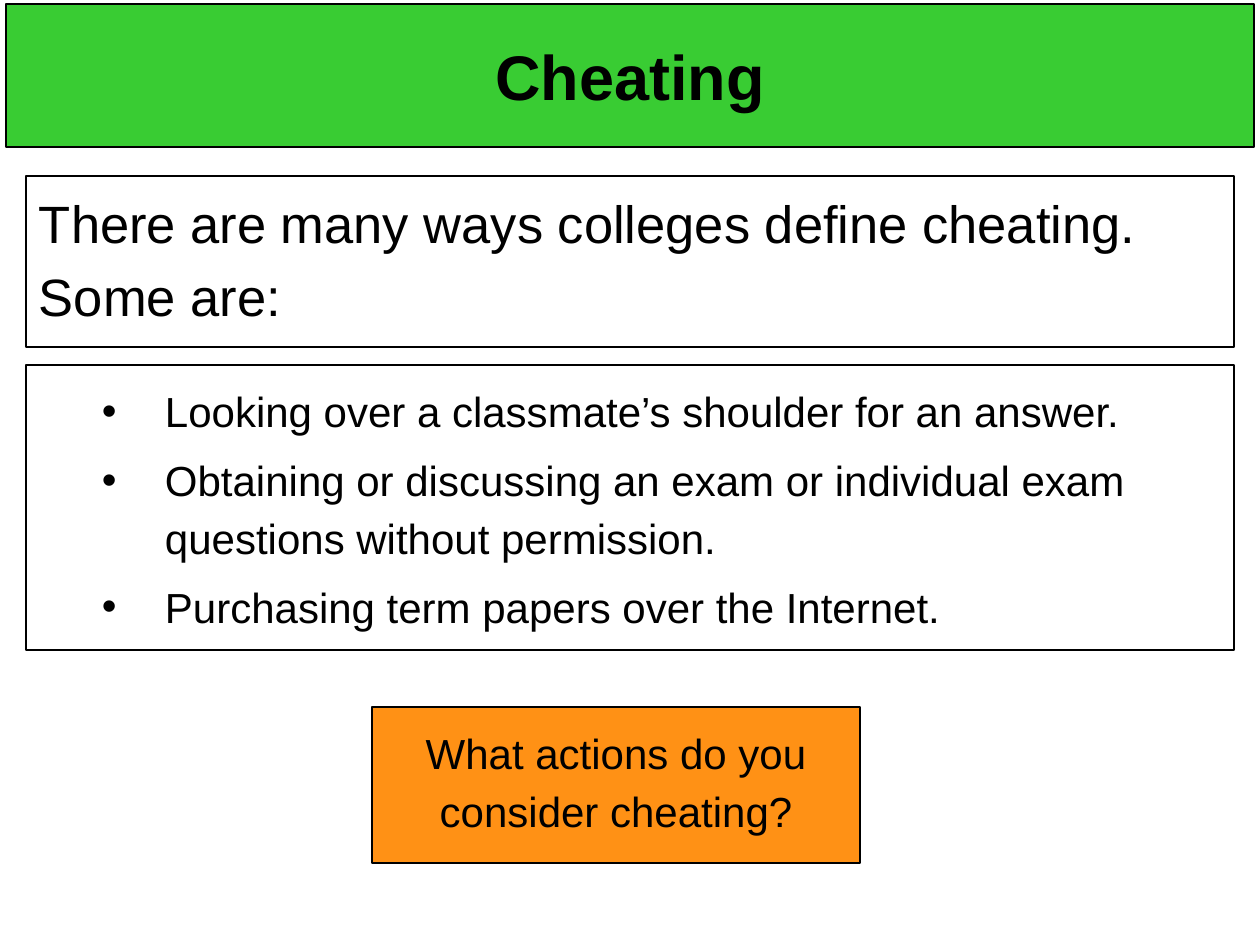
from dataclasses import dataclass

from lxml import etree
from pptx import Presentation
from pptx.dml.color import RGBColor
from pptx.enum import shapes, text
from pptx.oxml import ns
from pptx.util import Emu, Pt

PX = 914400 // 126


@dataclass(frozen=True)
class Theme:
    font: str = "Arial"
    ink: str = "000000"
    banner: str = "39CC33"
    prompt: str = "FF9115"
    title_size: int = 36
    intro_size: int = 30
    body_size: int = 24
    line_width: float = 1.5
    leading: float = 1.15
    gap: float = 6.2


THEME = Theme()


def px(n):
    return Emu(n * PX)


def style_box(sp, box, fill=None):
    sp.left, sp.top, sp.width, sp.height = map(px, box)
    if fill:
        sp.fill.solid()
        sp.fill.fore_color.rgb = RGBColor.from_string(fill)
    else:
        sp.fill.background()
    sp.line.color.rgb = RGBColor.from_string(THEME.ink)
    sp.line.width = Pt(THEME.line_width)


def add_box(slide, box, fill=None):
    sp = slide.shapes.add_shape(shapes.MSO_SHAPE.RECTANGLE, *map(px, box))
    sp.shadow.inherit = False
    style_box(sp, box, fill)
    return sp


def add_bullet(p, indent, hang):
    pPr = p._p.get_or_add_pPr()
    pPr.set("marL", str(px(indent)))
    pPr.set("indent", str(px(-hang)))
    etree.SubElement(pPr, ns.qn("a:buFont"), typeface=THEME.font)
    etree.SubElement(pPr, ns.qn("a:buChar"), char="•")


def write(sp, *lines, size, align=text.PP_ALIGN.LEFT, anchor=text.MSO_ANCHOR.TOP,
          bold=False, bullets=False, leading=THEME.leading, inset=13):
    tf = sp.text_frame
    tf.word_wrap = True
    tf.auto_size = text.MSO_AUTO_SIZE.NONE
    tf.vertical_anchor = anchor
    tf.margin_left = tf.margin_right = px(13)
    tf.margin_top = tf.margin_bottom = px(inset)
    for i, line in enumerate(lines):
        p = tf.add_paragraph() if i else tf.paragraphs[0]
        if bullets:
            add_bullet(p, 126, 63)
        p.alignment = align
        p.line_spacing = leading
        p.space_before = Pt(THEME.gap if i else 0)
        r = p.add_run()
        r.text = line
        r.font.name = THEME.font
        r.font.size = Pt(size)
        r.font.bold = bold
        r.font.color.rgb = RGBColor.from_string(THEME.ink)


def add_title(slide, box):
    sp = slide.shapes.title
    style_box(sp, box, THEME.banner)
    write(sp, "Cheating", size=THEME.title_size, bold=True, leading=1.0, inset=6,
          align=text.PP_ALIGN.CENTER, anchor=text.MSO_ANCHOR.MIDDLE)


def add_definitions(slide, box):
    x, y, w, h = box
    intro_h, list_h = 171, 285
    intro = add_box(slide, (x, y, w, intro_h))
    write(intro, "There are many ways colleges define cheating. Some are:",
          size=THEME.intro_size, inset=6)
    examples = add_box(slide, (x, y + h - list_h, w, list_h))
    write(examples,
          "Looking over a classmate’s shoulder for an answer.",
          "Obtaining or discussing an exam or individual exam questions without permission.",
          "Purchasing term papers over the Internet.",
          size=THEME.body_size, bullets=True)


def add_prompt(slide, box):
    sp = add_box(slide, box, THEME.prompt)
    write(sp, "What actions do you consider cheating?",
          size=THEME.body_size, align=text.PP_ALIGN.CENTER)


def main():
    prs = Presentation()
    prs.slide_width, prs.slide_height = px(1260), px(945)
    slide = prs.slides.add_slide(prs.slide_layouts[5])
    add_title(slide, (6, 4, 1248, 143))
    add_definitions(slide, (26, 176, 1208, 474))
    add_prompt(slide, (372, 707, 488, 156))
    prs.save("out.pptx")


if __name__ == "__main__":
    main()
